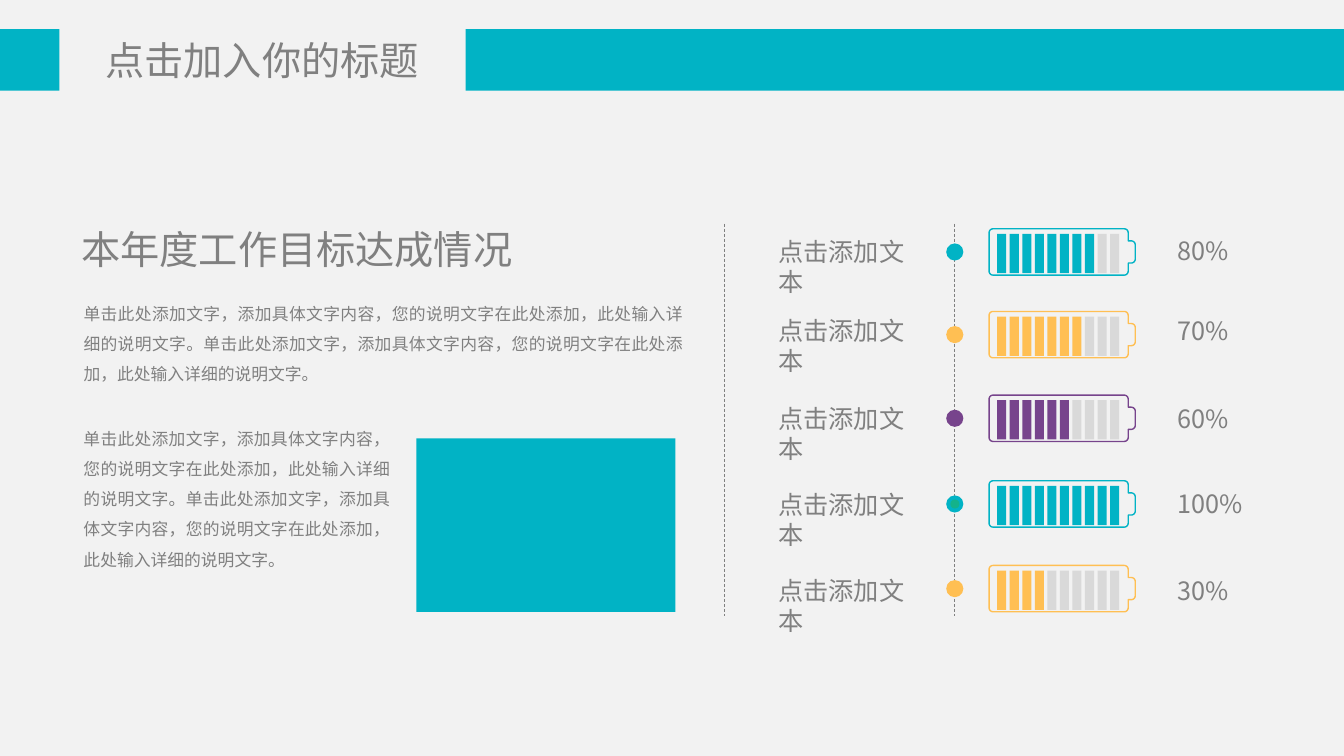
from math import cos, radians, sin

from lxml.etree import SubElement
from pptx import Presentation
from pptx.dml.color import RGBColor
from pptx.enum.dml import MSO_LINE_DASH_STYLE as Dash
from pptx.enum.shapes import MSO_CONNECTOR_TYPE as Connector, MSO_SHAPE as Shape
from pptx.enum.text import MSO_ANCHOR as Anchor, MSO_AUTO_SIZE as AutoSize, PP_ALIGN as Align
from pptx.oxml.ns import qn
from pptx.util import Pt

EMU_PER_PX = 9144  # 100 px to the inch
FONT = "Noto Sans CJK SC"
TEAL, AMBER, PURPLE, GREEN = "01B3C5", "FFBF53", "77448C", "14B28B"
TEXT_GREY, EMPTY_GREY, PAGE_GREY = "808080", "D9D9D9", "F2F2F2"

DETAIL = "单击此处添加文字，添加具体文字内容，您的说明文字在此处添加，此处输入详细的说明文字。" * 2
BAR_COUNT = 10
# label top, battery top, colour, dot core, filled bars, percentage
GOALS = [
    (229, 227, TEAL, TEAL, 8, "80%"),
    (308, 309, AMBER, AMBER, 7, "70%"),
    (395, 392, PURPLE, PURPLE, 6, "60%"),
    (480, 477, TEAL, GREEN, 10, "100%"),
    (566, 561, AMBER, AMBER, 4, "30%"),
]


def px(length):
    return round(length * EMU_PER_PX)


def paint(color_format, hex_color):
    color_format.rgb = RGBColor.from_string(hex_color)


def fill(shape, hex_color):
    """Give a shape a flat fill without line or shadow."""
    shape.shadow.inherit = False
    shape.fill.solid()
    paint(shape.fill.fore_color, hex_color)
    shape.line.fill.background()


def write(frame, text, size, align=Align.LEFT, spacing=None):
    frame.text = text
    paragraph = frame.paragraphs[0]
    paragraph.alignment = align
    if spacing:
        paragraph.line_spacing = spacing
    font = paragraph.font
    font.size = Pt(size)
    font.name = FONT
    paint(font.color, TEXT_GREY)
    defaults = paragraph._p.pPr.find(qn("a:defRPr"))
    SubElement(defaults, qn("a:ea")).set("typeface", FONT)


def add_text(slide, box, text, size, wrap=True, **style):
    frame = slide.shapes.add_textbox(*map(px, box)).text_frame
    frame.word_wrap = wrap
    frame.auto_size = AutoSize.SHAPE_TO_FIT_TEXT
    write(frame, text, size, **style)


def add_block(slide, kind, box, hex_color):
    fill(slide.shapes.add_shape(kind, *map(px, box)), hex_color)


def add_dashed_rule(slide, x, top, bottom):
    rule = slide.shapes.add_connector(Connector.STRAIGHT, px(x), px(top), px(x), px(bottom))
    paint(rule.line.color, TEXT_GREY)
    rule.line.width = Pt(0.5)
    rule.line.dash_style = Dash.DASH
    SubElement(rule._element.spPr, qn("a:effectLst"))


def add_banner(slide, box, gap_left, gap_right):
    """Draw a band across the box, with the title in the gap."""
    left, top, width, height = box
    bands = [(left, gap_left), (gap_right, left + width)]
    builder = slide.shapes.build_freeform(px(left), px(top))
    for start, end in bands:
        corners = [(end, top), (end, top + height), (start, top + height)]
        builder.move_to(px(start), px(top))
        builder.add_line_segments([(px(x), px(y)) for x, y in corners])
    fill(builder.convert_to_shape(), TEAL)

    title = slide.shapes.title
    title.left, title.top, title.width, title.height = map(px, (left + 72, top + 7, 376, 47))
    frame = title.text_frame
    frame.margin_left = frame.margin_right = frame.margin_top = frame.margin_bottom = 0
    frame.vertical_anchor = Anchor.TOP
    frame.word_wrap = True
    frame.auto_size = AutoSize.SHAPE_TO_FIT_TEXT
    write(frame, "点击加入你的标题", 28, Align.CENTER)


def add_summary(slide, box):
    left, top, width, _ = box
    add_text(slide, (left, top, 452, 57), "本年度工作目标达成情况", 28, wrap=False)
    add_text(slide, (left + 2, top + 67, width - 2, 121), DETAIL, 12,
             align=Align.JUSTIFY, spacing=1.5)
    add_block(slide, Shape.RECTANGLE, (left + 342, top + 216, 257, 172), TEAL)
    add_text(slide, (left + 2, top + 191, 324, 162), DETAIL, 12,
             align=Align.JUSTIFY, spacing=1.5)


def arc(center_x, center_y, radius, start):
    """Return the points of a clockwise quarter turn from the start angle."""
    angles = [radians(start + step) for step in range(0, 91, 15)]
    return [(center_x + radius * cos(a), center_y + radius * sin(a)) for a in angles]


def add_battery(slide, box, hex_color, filled):
    left, top, width, height = box
    body, nub_top, nub_bottom = width - 7, 12, height - 12
    outline = [
        *arc(4, 4, 4, 180), *arc(body - 4, 4, 4, 270), (body, nub_top),
        *arc(width - 4, nub_top + 4, 4, 270), *arc(width - 4, nub_bottom - 4, 4, 0),
        (body, nub_bottom), *arc(body - 4, height - 4, 4, 0), *arc(4, height - 4, 4, 90),
    ]
    points = [(px(left + x), px(top + y)) for x, y in outline]
    builder = slide.shapes.build_freeform(*points[0])
    builder.add_line_segments(points[1:])
    case = builder.convert_to_shape()
    case.shadow.inherit = False
    case.fill.background()
    paint(case.line.color, hex_color)
    case.line.width = Pt(1)

    pitch = 112 / (BAR_COUNT - 1)
    for bar in range(BAR_COUNT):
        add_block(slide, Shape.RECTANGLE, (left + 8 + bar * pitch, top + 5, 9, 39),
                  hex_color if bar < filled else EMPTY_GREY)


def add_goals(slide, box):
    """List each goal as label, dot on the axis, battery and percentage."""
    left, top, _, height = box
    axis = left + 185
    add_dashed_rule(slide, axis, top, top + height)
    for label_top, battery_top, color, core, filled, percentage in GOALS:
        add_text(slide, (left, label_top, 163, 71), "点击添加文本", 18)
        for diameter, dot_color in ((17, color), (9, core)):
            radius = diameter / 2
            add_block(slide, Shape.OVAL,
                      (axis - radius, battery_top + 23 - radius, diameter, diameter), dot_color)
        add_battery(slide, (left + 219, battery_top, 145, 46), color, filled)
        add_text(slide, (left + 396, label_top, 104, 40), percentage, 18)


def main():
    deck = Presentation()
    deck.slide_width, deck.slide_height = px(1333), px(750)
    slide = deck.slides.add_slide(deck.slide_layouts[5])
    slide.background.fill.solid()
    paint(slide.background.fill.fore_color, PAGE_GREY)

    add_banner(slide, (0, 29, 1333, 61), 59, 462)
    add_summary(slide, (71, 219, 617, 388))
    add_dashed_rule(slide, 718, 222, 611)
    add_goals(slide, (762, 222, 500, 389))
    deck.save("out.pptx")


if __name__ == "__main__":
    main()
